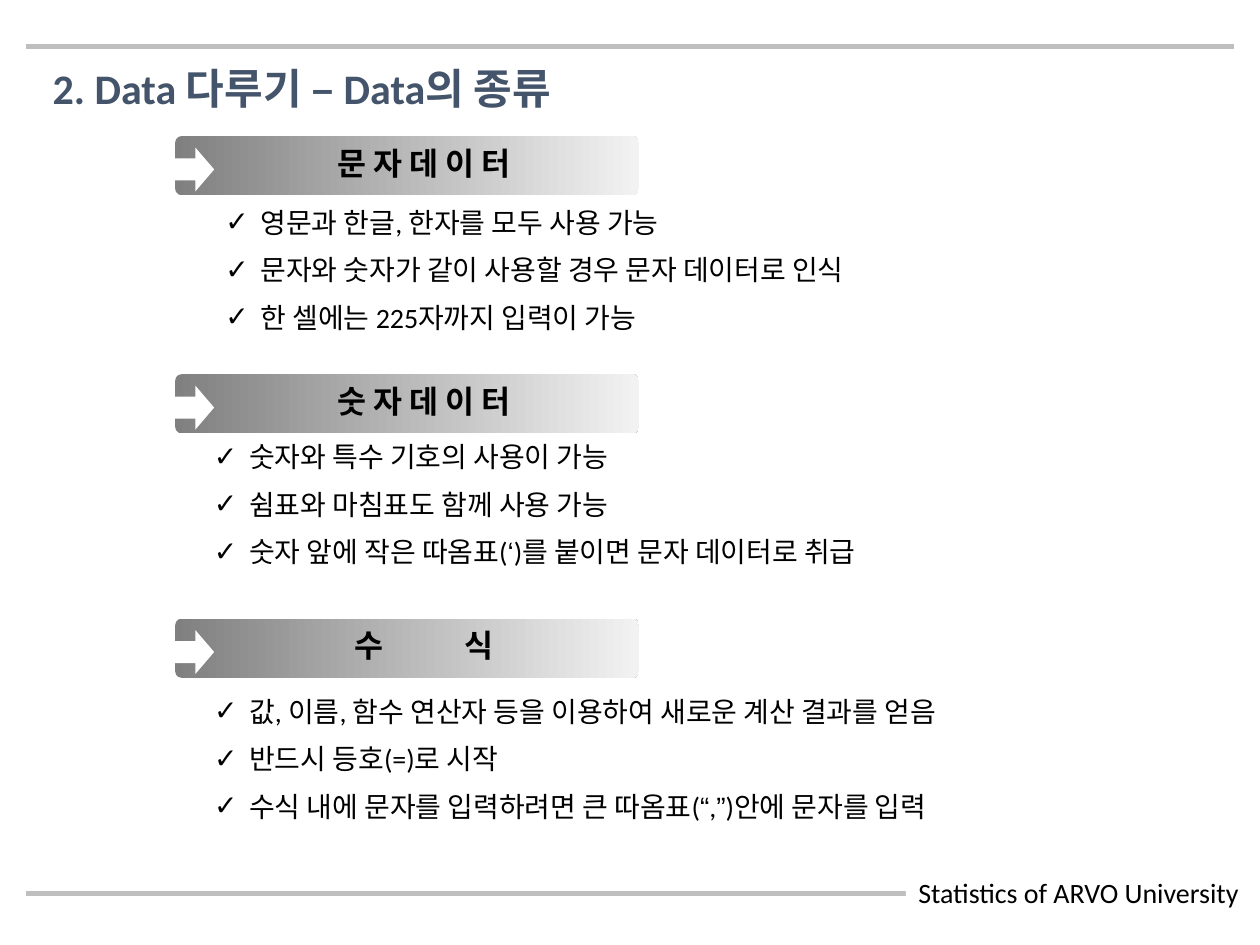
from lxml import etree
from pptx import Presentation
from pptx.dml.color import RGBColor
from pptx.enum.shapes import MSO_CONNECTOR, MSO_SHAPE
from pptx.enum.text import PP_ALIGN
from pptx.oxml.ns import qn
from pptx.util import Inches, Pt

STRAIGHT = MSO_CONNECTOR.STRAIGHT
RECTANGLE = MSO_SHAPE.RECTANGLE
ROUNDED = MSO_SHAPE.ROUNDED_RECTANGLE
ARROW = MSO_SHAPE.RIGHT_ARROW
LEFT, CENTER = PP_ALIGN.LEFT, PP_ALIGN.CENTER

COLORS = {"rule": "BFBFBF", "title": "44546A", "text": "000000",
          "bar_start": "808080", "bar_end": "F2F2F2", "white": "FFFFFF"}

# Each section: heading, heading font, bar top, list left, list top, list width, items
SECTIONS = [
    ("문 자 데 이 터", "Arial", 1.08, 1.42, 1.58, 7.33,
     ["영문과 한글, 한자를 모두 사용 가능",
      "문자와 숫자가 같이 사용할 경우 문자 데이터로 인식",
      "한 셀에는 225자까지 입력이 가능"]),
    ("숫 자 데 이 터", "Calibri", 2.97, 1.33, 3.44, 8,
     ["숫자와 특수 기호의 사용이 가능",
      "쉼표와 마침표도 함께 사용 가능",
      "숫자 앞에 작은 따옴표(‘)를 붙이면 문자 데이터로 취급"]),
    ("수 식", "Calibri", 4.91, 1.33, 5.46, 7.92,
     ["값, 이름, 함수 연산자 등을 이용하여 새로운 계산 결과를 얻음",
      "반드시 등호(=)로 시작",
      "수식 내에 문자를 입력하려면 큰 따옴표(“,”)안에 문자를 입력"]),
]
WIDE_HEADING = "수 식"
QUOTES = "‘“”"


def add_run(paragraph, text, size, font="Calibri", color="text", bold=False):
    run = paragraph.add_run()
    run.text = text
    run.font.size = Pt(size)
    run.font.name = font
    run.font.bold = bold
    run.font.color.rgb = RGBColor.from_string(COLORS[color])
    return run


def add_plain_shape(kind, left, top, width, height):
    shape = slide.shapes.add_shape(kind, Inches(left), Inches(top), Inches(width), Inches(height))
    shape.shadow.inherit = False
    shape.line.fill.background()
    shape.fill.solid()
    shape.fill.fore_color.rgb = RGBColor.from_string(COLORS["white"])
    return shape


presentation = Presentation()
presentation.slide_width, presentation.slide_height = Inches(10), Inches(7.5)
slide = presentation.slides.add_slide(presentation.slide_layouts[6])

# Rules at the bottom and top
for y in (7.09, 0.37):
    rule = slide.shapes.add_connector(STRAIGHT, Inches(0.21), Inches(y), Inches(9.79), Inches(y))
    rule.line.color.rgb = RGBColor.from_string(COLORS["rule"])
    rule.line.width = Pt(3)
    etree.SubElement(rule.element.spPr, qn("a:effectLst"))

# Footer label, covering the end of the bottom rule
footer = add_plain_shape(RECTANGLE, 7.19, 6.9, 2.73, 0.37)
footer.text_frame.word_wrap = False
footer.text_frame.paragraphs[0].alignment = LEFT
add_run(footer.text_frame.paragraphs[0], "Statistics of ARVO University", 16)

# Title
title = slide.shapes.add_textbox(Inches(0.32), Inches(0.45), Inches(4.34), Inches(0.5))
title.text_frame.word_wrap = True
add_run(title.text_frame.paragraphs[0], "2. Data 다루기 – Data의 종류", 24, color="title", bold=True)

for heading, font, bar_top, list_left, list_top, list_width, items in SECTIONS:
    # Gradient bar with a white arrow
    bar = add_plain_shape(ROUNDED, 1.39, bar_top, 3.68, 0.47)
    bar.adjustments[0] = 0.11
    bar.fill.gradient()
    bar.fill.gradient_angle = 0
    for stop, name, position in zip(bar.fill.gradient_stops, ("bar_start", "bar_end"), (0, 1)):
        stop.color.rgb = RGBColor.from_string(COLORS[name])
        stop.position = position
    arrow = add_plain_shape(ARROW, 1.36, bar_top + 0.09, 0.34, 0.35)
    arrow.adjustments[1] = 0.44

    # Heading; the short one is spread out by character spacing
    label = slide.shapes.add_textbox(Inches(1.74), Inches(bar_top + 0.01), Inches(3.25), Inches(0.37))
    label.text_frame.word_wrap = True
    paragraph = label.text_frame.paragraphs[0]
    paragraph.alignment = CENTER
    if heading == WIDE_HEADING:
        for character in heading:
            run = add_run(paragraph, character, 18, font, bold=True)
            if character == " ":
                run.font._element.set("spc", "4200")
    else:
        add_run(paragraph, heading, 18, font, bold=True)

    # Check list
    box = slide.shapes.add_textbox(Inches(list_left), Inches(list_top), Inches(list_width), Inches(1.18))
    frame = box.text_frame
    frame.word_wrap = True
    for index, item in enumerate(items):
        paragraph = frame.paragraphs[0] if index == 0 else frame.add_paragraph()
        paragraph.level = 1
        paragraph.space_before = Pt(8)
        properties = paragraph._p.get_or_add_pPr()
        properties.set("marL", str(Inches(0.55)))
        properties.set("indent", str(-Inches(0.28)))
        etree.SubElement(properties, qn("a:buFont")).set("typeface", "Arial")
        etree.SubElement(properties, qn("a:buChar")).set("char", "✓")
        # Quotation marks get their own font
        pieces = [""]
        for character in item:
            if character in QUOTES:
                pieces += [character, ""]
            else:
                pieces[-1] += character
        for piece in pieces:
            add_run(paragraph, piece, 16, "Arial" if piece in QUOTES else "Calibri")

presentation.save("out.pptx")
